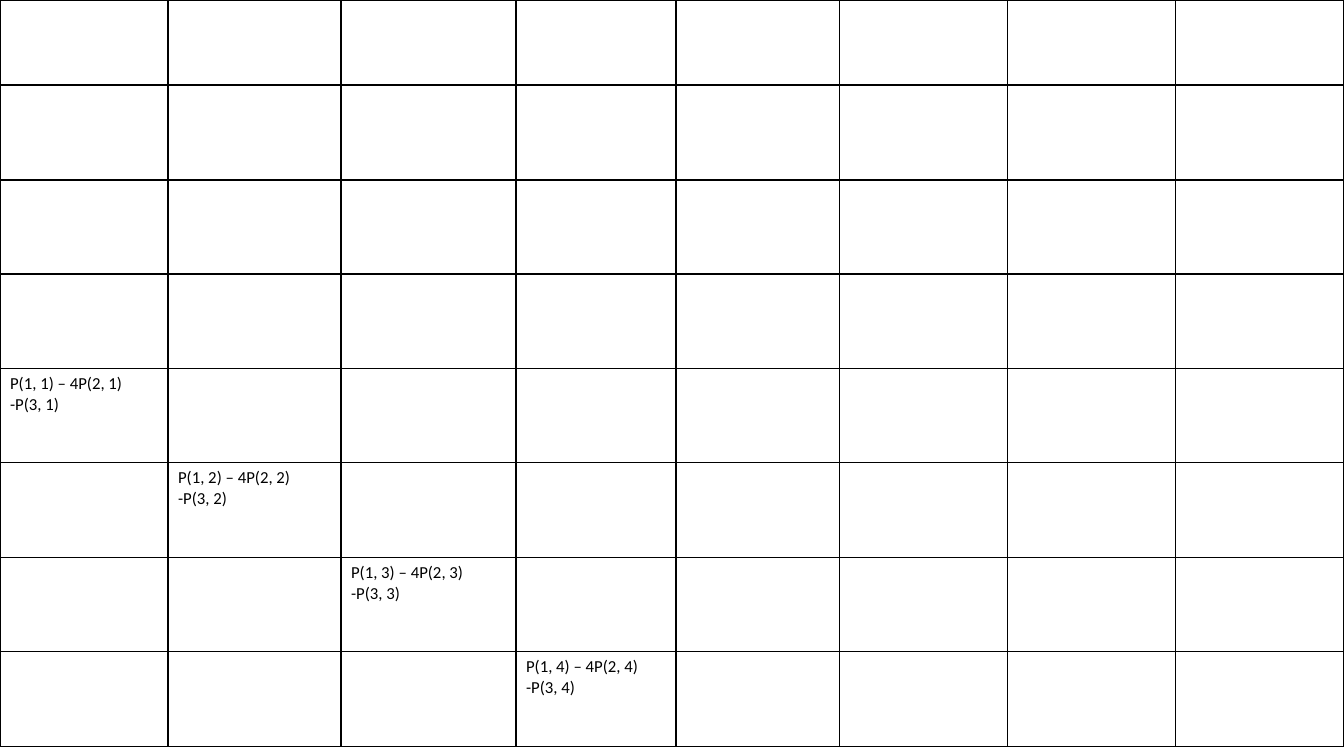
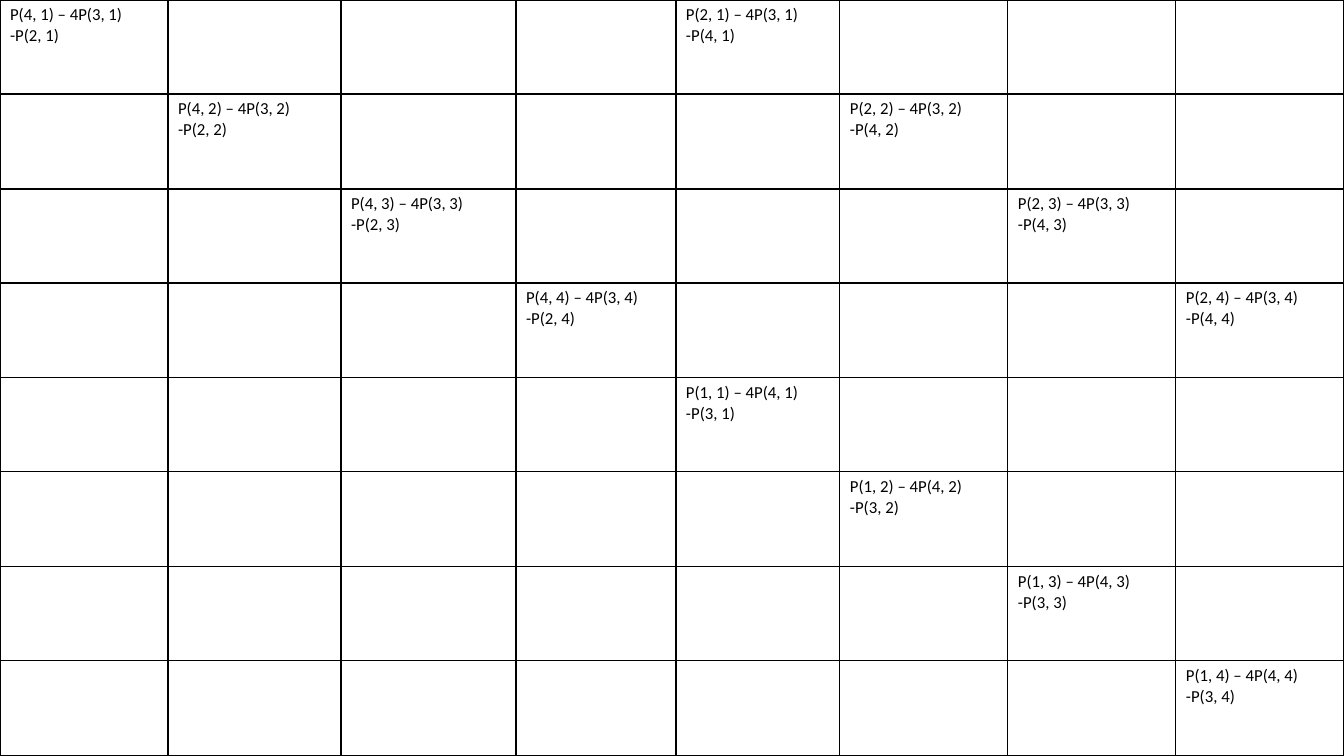
from pptx import Presentation
from pptx.dml.color import RGBColor
from pptx.oxml import parse_xml
from pptx.oxml.ns import nsdecls
from pptx.util import Pt

PX = 914400 / 100.8
THEME = {
    "font": "Calibri",
    "size": Pt(12),
    "text": RGBColor(0, 0, 0),
    "fill": RGBColor(255, 255, 255),
    "border": "000000",
    "border_width": Pt(1),
}
COL_WIDTHS = [168, 173, 175, 160, 164, 168, 168, 168]
ROWS = 8
BLOCK = 4


def px(n):
    return round(n * PX)


def style_cell(cell):
    tcPr = cell._tc.get_or_add_tcPr()
    for side in ("lnL", "lnR", "lnT", "lnB"):
        tcPr.append(parse_xml(
            f'<a:{side} {nsdecls("a")} w="{THEME["border_width"]}"><a:solidFill>'
            f'<a:srgbClr val="{THEME["border"]}"/></a:solidFill></a:{side}>'))
    cell.fill.solid()
    cell.fill.fore_color.rgb = THEME["fill"]
    for p in cell.text_frame.paragraphs:
        p.font.name = THEME["font"]
        p.font.size = THEME["size"]
        p.font.color.rgb = THEME["text"]


# Each block: top row, left column, then the three row indices of its terms
slides = [
    {"first_row_cut": 9, "blocks": [(4, 0, 1, 2, 3)]},
    {"first_row_cut": 0, "blocks": [(0, 0, 4, 3, 2), (0, 4, 2, 3, 4), (4, 4, 1, 4, 3)]},
]

prs = Presentation()
prs.slide_width = px(1344)
prs.slide_height = px(756)

for matrix in slides:
    s = prs.slides.add_slide(prs.slide_layouts[6])
    edges = [0] + [i * 756 // ROWS - matrix["first_row_cut"] for i in range(1, ROWS + 1)]
    table = s.shapes.add_table(
        ROWS, len(COL_WIDTHS), 0, 0, px(sum(COL_WIDTHS)), px(edges[-1])).table
    table.first_row = False
    table.horz_banding = False
    for column, width in zip(table.columns, COL_WIDTHS):
        column.width = px(width)
    for row, top, bottom in zip(table.rows, edges, edges[1:]):
        row.height = px(bottom - top)
    for top, left, a, b, c in matrix["blocks"]:
        for i in range(BLOCK):
            n = i + 1
            table.cell(top + i, left + i).text = f"P({a}, {n}) – 4P({b}, {n})\n-P({c}, {n})"
    for cell in table.iter_cells():
        style_cell(cell)

prs.save("out.pptx")
